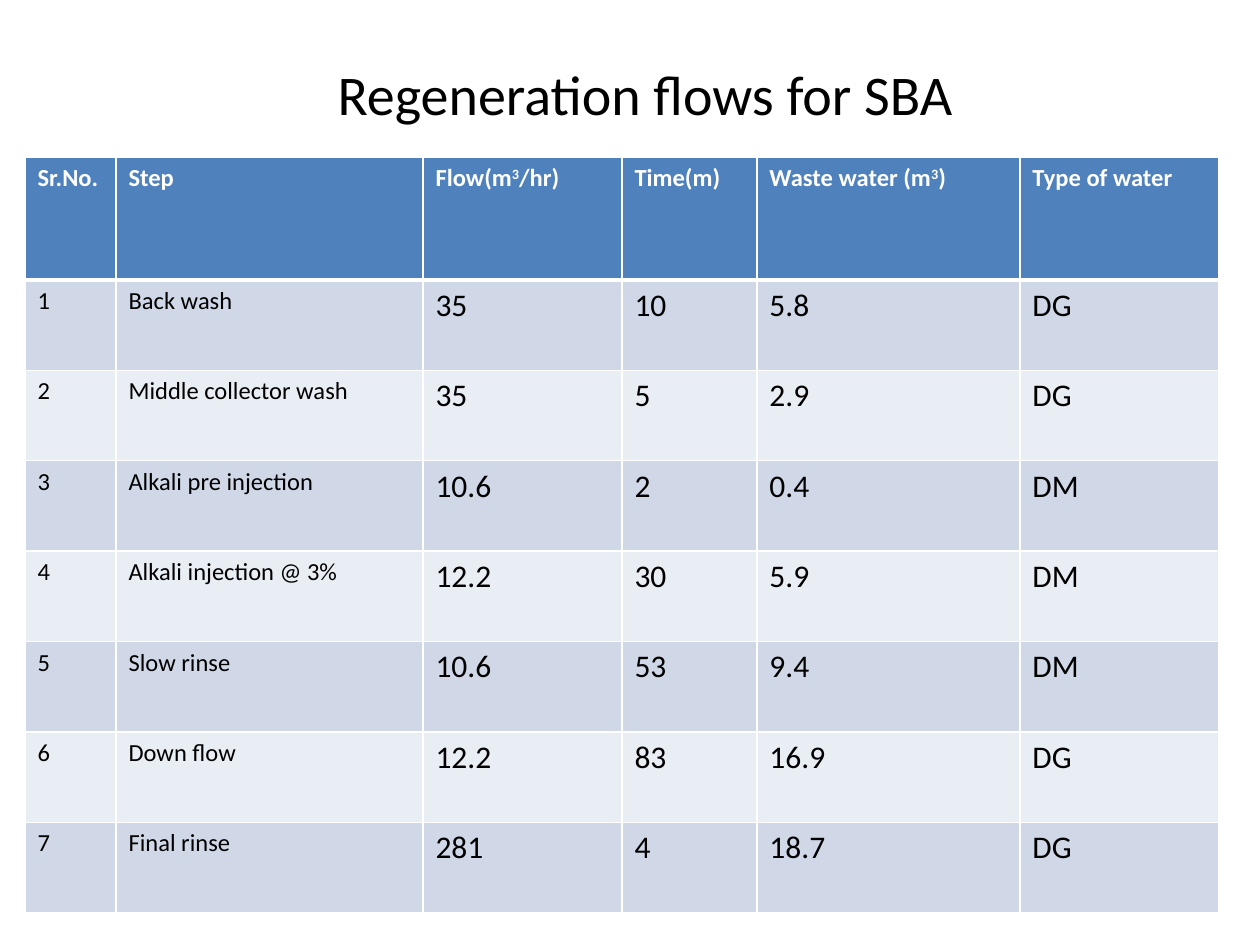
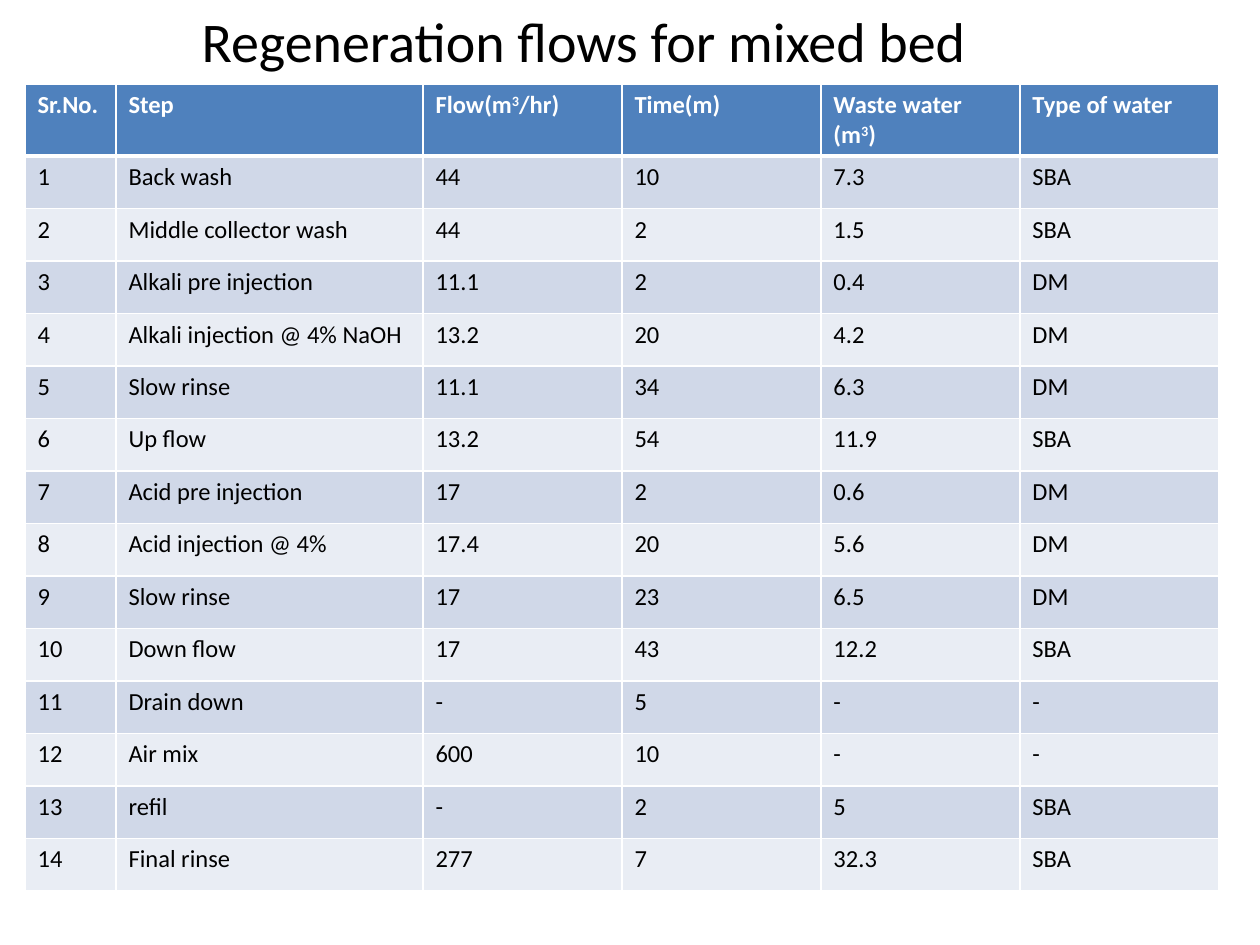
from lxml import etree
from pptx import Presentation
from pptx.dml.color import RGBColor
from pptx.enum.text import MSO_ANCHOR, MSO_AUTO_SIZE, PP_ALIGN
from pptx.oxml.ns import qn
from pptx.util import Emu, Pt

PIXEL = 914400 // 126
WHITE = RGBColor(0xFF, 0xFF, 0xFF)
BLACK = RGBColor(0x00, 0x00, 0x00)
HEADER_BLUE = RGBColor(0x4F, 0x81, 0xBD)
BANDS = (RGBColor(0xD0, 0xD8, 0xE8), RGBColor(0xE9, 0xED, 0xF4))
FONT = "Calibri"
TITLE_SIZE, TABLE_SIZE = 32, 14
TABLE_LEFT = 25
TITLE_ONLY = 5

# Text between carets is superscript
HEADINGS = ("Sr.No.", "Step", "Flow(m^3^/hr)", "Time(m)",
            "Waste water (m^3^)", "Type of water")

SBA_STEPS = [
    ("Back wash", "35", "10", "5.8", "DG"),
    ("Middle collector wash", "35", "5", "2.9", "DG"),
    ("Alkali pre injection", "10.6", "2", "0.4", "DM"),
    ("Alkali injection @ 3%", "12.2", "30", "5.9", "DM"),
    ("Slow rinse", "10.6", "53", "9.4", "DM"),
    ("Down flow", "12.2", "83", "16.9", "DG"),
    ("Final rinse", "281", "4", "18.7", "DG"),
]

MIXED_BED_STEPS = [
    ("Back wash", "44", "10", "7.3", "SBA"),
    ("Middle collector wash", "44", "2", "1.5", "SBA"),
    ("Alkali pre injection", "11.1", "2", "0.4", "DM"),
    ("Alkali injection @ 4% NaOH", "13.2", "20", "4.2", "DM"),
    ("Slow rinse", "11.1", "34", "6.3", "DM"),
    ("Up flow", "13.2", "54", "11.9", "SBA"),
    ("Acid pre injection", "17", "2", "0.6", "DM"),
    ("Acid injection @ 4%", "17.4", "20", "5.6", "DM"),
    ("Slow rinse", "17", "23", "6.5", "DM"),
    ("Down flow", "17", "43", "12.2", "SBA"),
    ("Drain down", "-", "5", "-", "-"),
    ("Air mix", "600", "10", "-", "-"),
    ("refil", "-", "2", "5", "SBA"),
    ("Final rinse", "277", "7", "32.3", "SBA"),
]


def px(length):
    return Emu(round(length * PIXEL))


class FlowDeck:
    """Holds the shared style and the current slide."""

    def __init__(self):
        self.deck = Presentation()
        self.deck.slide_width, self.deck.slide_height = px(1260), px(945)
        self.page = None

    def add_page(self, title, left, top, width, height):
        self.page = self.deck.slides.add_slide(self.deck.slide_layouts[TITLE_ONLY])
        box = self.page.shapes.title
        box.left, box.top, box.width, box.height = map(px, (left, top, width, height))
        frame = box.text_frame
        frame.text = title
        frame.word_wrap = False
        frame.auto_size = MSO_AUTO_SIZE.SHAPE_TO_FIT_TEXT
        frame.vertical_anchor = MSO_ANCHOR.TOP
        para = frame.paragraphs[0]
        para.alignment = PP_ALIGN.LEFT
        self.style_span(para.runs[0], TITLE_SIZE, BLACK)

    def style_span(self, span, size, color, bold=False):
        span.font.name = FONT
        span.font.size = Pt(size)
        span.font.color.rgb = color
        span.font.bold = bold

    def add_borders(self, cell, top, bottom):
        properties = cell._tc.get_or_add_tcPr()
        sides = (("L", 1), ("R", 1), ("T", top), ("B", bottom))
        for place, (side, width) in enumerate(sides):
            line = etree.Element(qn(f"a:ln{side}"), w=str(Pt(width)))
            fill = etree.SubElement(line, qn("a:solidFill"))
            etree.SubElement(fill, qn("a:srgbClr"), val=str(WHITE))
            properties.insert(place, line)

    def fill_cell(self, cell, text, fill, size, color, bold=False):
        cell.fill.solid()
        cell.fill.fore_color.rgb = fill
        para = cell.text_frame.paragraphs[0]
        for index, part in enumerate(text.split("^")):
            span = para.add_run()
            span.text = part
            self.style_span(span, size, color, bold)
            if index % 2:
                span._r.get_or_add_rPr().set("baseline", "30000")

    def add_flow_table(self, steps, top, height, header_height, widths, value_size):
        frame = self.page.shapes.add_table(
            len(steps) + 1, len(widths), px(TABLE_LEFT), px(top),
            px(sum(widths)), px(height))
        table = frame.table
        for column, width in zip(table.columns, widths):
            column.width = px(width)
        for row in table.rows:
            row.height = px((height - header_height) / len(steps))
        table.rows[0].height = px(header_height)

        # Header row, with a thick line below
        for column, heading in enumerate(HEADINGS):
            cell = table.cell(0, column)
            self.fill_cell(cell, heading, HEADER_BLUE, TABLE_SIZE, WHITE, bold=True)
            self.add_borders(cell, 1, 3)

        # Numbered steps in alternating bands
        for number, step in enumerate(steps, start=1):
            for column, text in enumerate((str(number), *step)):
                cell = table.cell(number, column)
                size = TABLE_SIZE if column < 2 else value_size
                self.fill_cell(cell, text, BANDS[(number - 1) % 2], size, BLACK)
                self.add_borders(cell, 3 if number == 1 else 1, 1)


flows = FlowDeck()

# SBA
flows.add_page("Regeneration flows for SBA", 325, 53, 646, 81)
flows.add_flow_table(SBA_STEPS, top=157, height=756, header_height=123,
                     widths=(91, 307, 199, 135, 263, 199), value_size=18)

# Mixed bed
flows.add_page("Regeneration flows for mixed bed", 189, 0, 798, 81)
flows.add_flow_table(MIXED_BED_STEPS, top=84, height=807, header_height=72,
                     widths=(91, 307, 199, 199, 199, 199), value_size=TABLE_SIZE)

flows.deck.save("out.pptx")
